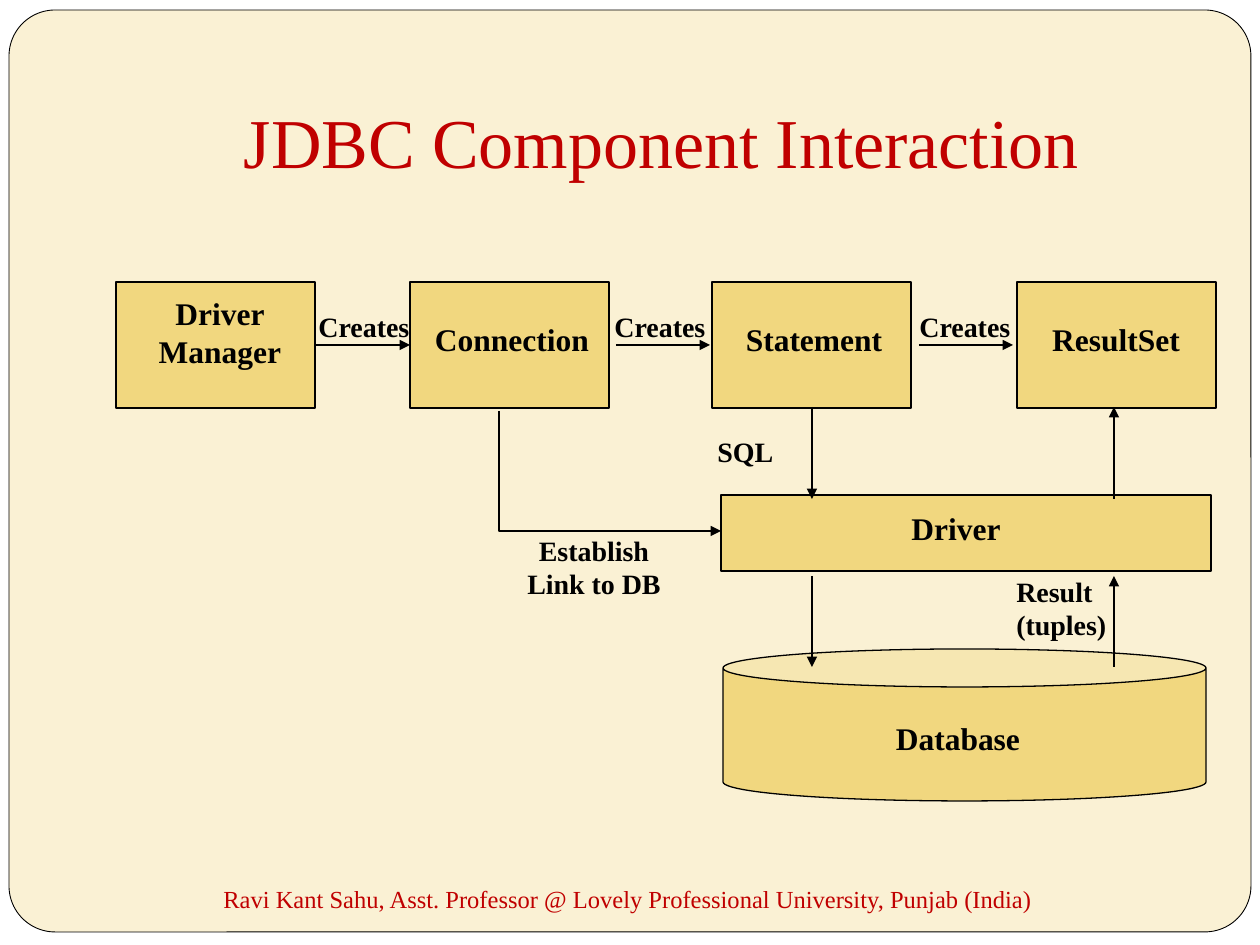
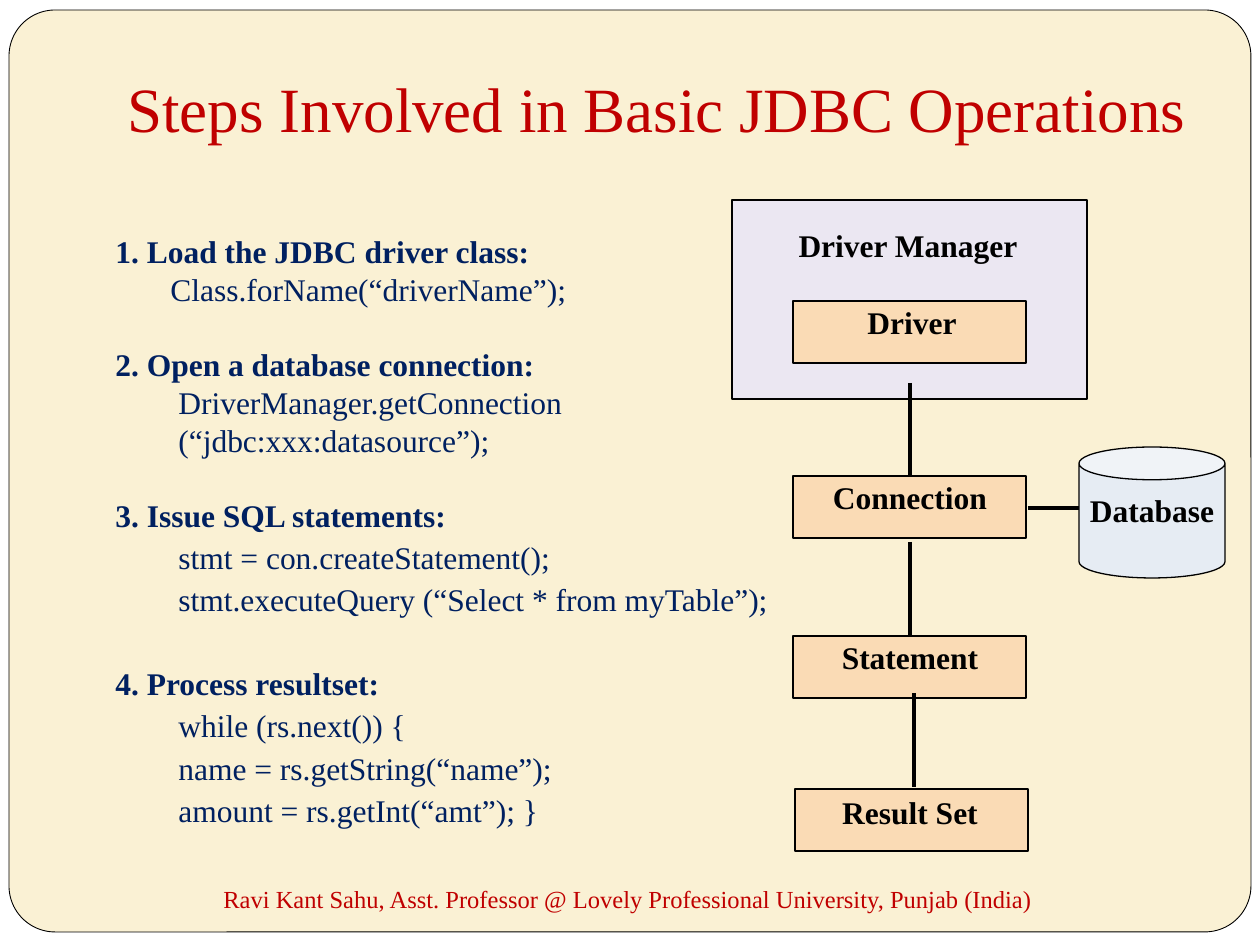
from lxml import etree
from pptx import Presentation, util as u
from pptx.dml.color import RGBColor
from pptx.enum import shapes, text
from pptx.oxml import ns

PX = u.Inches(1) / 126
FONT = "Times New Roman"
RED = RGBColor(0xC0, 0, 0)
NAVY = RGBColor(0, 0x20, 0x60)
BLACK = RGBColor(0, 0, 0)
WHITE = RGBColor(255, 255, 255)
CREAM = RGBColor(0xFA, 0xF1, 0xD4)
GOLD = RGBColor(0xF1, 0xD7, 0x7F)
PEACH = RGBColor(0xFA, 0xDB, 0xB5)
LILAC = RGBColor(0xEB, 0xE7, 0xF2)
ICE = RGBColor(0xE6, 0xEC, 0xF3)
RECT = shapes.MSO_SHAPE.RECTANGLE
ROUND = shapes.MSO_SHAPE.ROUNDED_RECTANGLE
CAN = shapes.MSO_SHAPE.CAN
LEFT, MID = text.PP_ALIGN.LEFT, text.PP_ALIGN.CENTER
TOP, CORE, BASE = (text.MSO_ANCHOR.TOP, text.MSO_ANCHOR.MIDDLE,
                   text.MSO_ANCHOR.BOTTOM)
SPAN = 260  # label width, wide enough for the longest label

FOOTER = ("Ravi Kant Sahu, Asst. Professor @ Lovely Professional University, "
          "Punjab (India)")

# Component diagram: kind, box
PARTS = [(RECT, (x, 282, 199, 126)) for x in (116, 410, 712, 1017)]
PARTS += [(RECT, (721, 495, 490, 76)), (CAN, (723, 649, 483, 152))]
# Labels: lines, centre x, top
NAMES = [
    (["Driver", "Manager"], 220, 288),
    (["Connection"], 512, 314),
    (["Statement"], 814, 314),
    (["ResultSet"], 1116, 314),
    (["Driver"], 956, 503),
    (["Database"], 958, 713),
]
# Notes: lines, box, alignment
NOTES = [(["Creates"], (x, 303, 118, 47), LEFT) for x in (306, 602, 907)]
NOTES += [
    (["SQL"], (705, 428, 82, 47), LEFT),
    (["Result", "(tuples)"], (1004, 568, 118, 81), LEFT),
    (["Establish", "Link to DB"], (504, 527, 180, 81), MID),
]
ARROWS = [(x, 345, x + 94, 345) for x in (316, 616, 919)]
for top, low in ((407, 499), (576, 667)):
    ARROWS += [(812, top, 812, low), (1114, low, 1114, top)]
LINK = [(499, 411), (499, 531), (721, 531)]

# Step diagram: kind, box, fill
STAGES = [
    (RECT, (732, 200, 355, 199), LILAC),
    (RECT, (793, 301, 233, 62), PEACH),
    (RECT, (793, 476, 233, 62), PEACH),
    (RECT, (793, 636, 233, 62), PEACH),
    (RECT, (795, 789, 233, 62), PEACH),
    (CAN, (1079, 447, 146, 131), ICE),
]
TAGS = [
    ("Driver Manager", 908, 220),
    ("Driver", 912, 297),
    ("Connection", 910, 472),
    ("Statement", 910, 632),
    ("Result Set", 910, 787),
    ("Database", 1152, 485),
]
LINES = [
    (910, 383, 910, 477),
    (910, 542, 910, 635),
    (1028, 508, 1079, 508),
    (914, 693, 914, 787),
]
# Steps: heading, code lines, code indent, space before, fixed pitches
STEPS = [
    ("1. Load the JDBC driver class:",
     ["Class.forName(“driverName”);"], 55, 0, None, None),
    ("2. Open a database connection:",
     ["DriverManager.getConnection", "(“jdbc:xxx:datasource”);"],
     63, 21.5, None, None),
    ("3. Issue SQL statements:",
     ["stmt = con.createStatement();",
      "stmt.executeQuery (“Select * from myTable”);"], 63, 21.5, None, 24),
    ("4. Process resultset:",
     ["while (rs.next()) {", "name = rs.getString(“name”);",
      "amount = rs.getInt(“amt”); }"], 63, 24, 24, 24),
]


def px(*vals):
    return [u.Emu(round(v * PX)) for v in vals]


def draw(slide, kind, box, fill, width=0.75):
    shape = slide.shapes.add_shape(kind, *px(*box))
    shape.shadow.inherit = False
    shape.fill.solid()
    shape.fill.fore_color.rgb = fill
    shape.line.color.rgb = BLACK
    shape.line.width = u.Pt(width)
    return shape


def frame(slide, box, anchor=TOP, wrap=False):
    """Add an empty text box and return its text frame."""
    body = slide.shapes.add_textbox(*px(*box)).text_frame
    body.word_wrap = wrap
    body.vertical_anchor = anchor
    return body


def put(body, words, size, color, bold=False, align=LEFT):
    """Write one paragraph, using the empty first one if it is free."""
    para = body.paragraphs[0]
    if para.runs:
        para = body.add_paragraph()
    para.alignment = align
    run = para.add_run()
    run.text = words
    font = run.font
    font.name, font.size, font.bold = FONT, u.Pt(size), bold
    font.color.rgb = color
    return para


def label(slide, lines, mid, top):
    body = frame(slide, (mid - SPAN / 2, top, SPAN, 50))
    for words in lines:
        put(body, words, 18, BLACK, True, MID)


def tip(shape):
    """Put an arrowhead on the far end of a line."""
    line = shape.line._get_or_add_ln()
    etree.SubElement(line, ns.qn("a:tailEnd"), type="triangle")


def join(slide, ends, width):
    line = slide.shapes.add_connector(shapes.MSO_CONNECTOR.STRAIGHT, *px(*ends))
    line.line.color.rgb = BLACK
    line.line.width = u.Pt(width)
    etree.SubElement(line._element.spPr, ns.qn("a:effectLst"))
    return line


def start(deck, title, box, size, align):
    """Add a slide with the shared panel, title and footer."""
    slide = deck.slides.add_slide(deck.slide_layouts[6])
    slide.background.fill.solid()
    slide.background.fill.fore_color.rgb = WHITE
    panel = draw(slide, ROUND, (9, 10, 1242, 922), CREAM, 0.5)
    panel.adjustments[0] = 0.05
    head = frame(slide, box, BASE, True)
    head.margin_bottom = u.Inches(0.1)
    put(head, title, size, RED, align=align)
    foot = frame(slide, (105, 874, 1046, 50), CORE, True)
    put(foot, FOOTER, 14, RED, align=MID)
    return slide


def parts(deck):
    slide = start(deck, "JDBC Component Interaction",
                  (126, 38, 1071, 157), 40, MID)
    for kind, box in PARTS:
        draw(slide, kind, box, GOLD)
    for name in NAMES:
        label(slide, *name)
    for ends in ARROWS:
        tip(join(slide, ends, 0.75))
    pen = slide.shapes.build_freeform(*LINK[0], scale=PX)
    pen.add_line_segments(LINK[1:], close=False)
    link = pen.convert_to_shape()
    link.shadow.inherit = False
    link.fill.background()
    link.line.color.rgb = BLACK
    link.line.width = u.Pt(0.75)
    tip(link)
    for lines, box, align in NOTES:
        body = frame(slide, box)
        for words in lines:
            put(body, words, 16, BLACK, True, align)


def steps(deck):
    slide = start(deck, "Steps Involved in Basic JDBC Operations",
                  (115, 1, 1113, 157), 36, LEFT)
    for kind, box, fill in STAGES:
        draw(slide, kind, box, fill)
    for ends in LINES:
        join(slide, ends, 2.25)
    for words, mid, top in TAGS:
        label(slide, [words], mid, top)
    body = frame(slide, (103, 226, 902, 612), wrap=True)
    for head, code, dent, gap, pitch, step in STEPS:
        para = put(body, head, 18, NAVY, True)
        if gap:
            para.space_before = u.Pt(gap)
        if pitch:
            para.line_spacing = u.Pt(pitch)
        for words in code:
            para = put(body, words, 18, NAVY)
            para._p.get_or_add_pPr().set("marL", str(px(dent)[0]))
            if step:
                para.line_spacing = u.Pt(step)


def main():
    deck = Presentation()
    deck.slide_width, deck.slide_height = px(1260, 945)
    parts(deck)
    steps(deck)
    deck.save("out.pptx")


if __name__ == "__main__":
    main()
